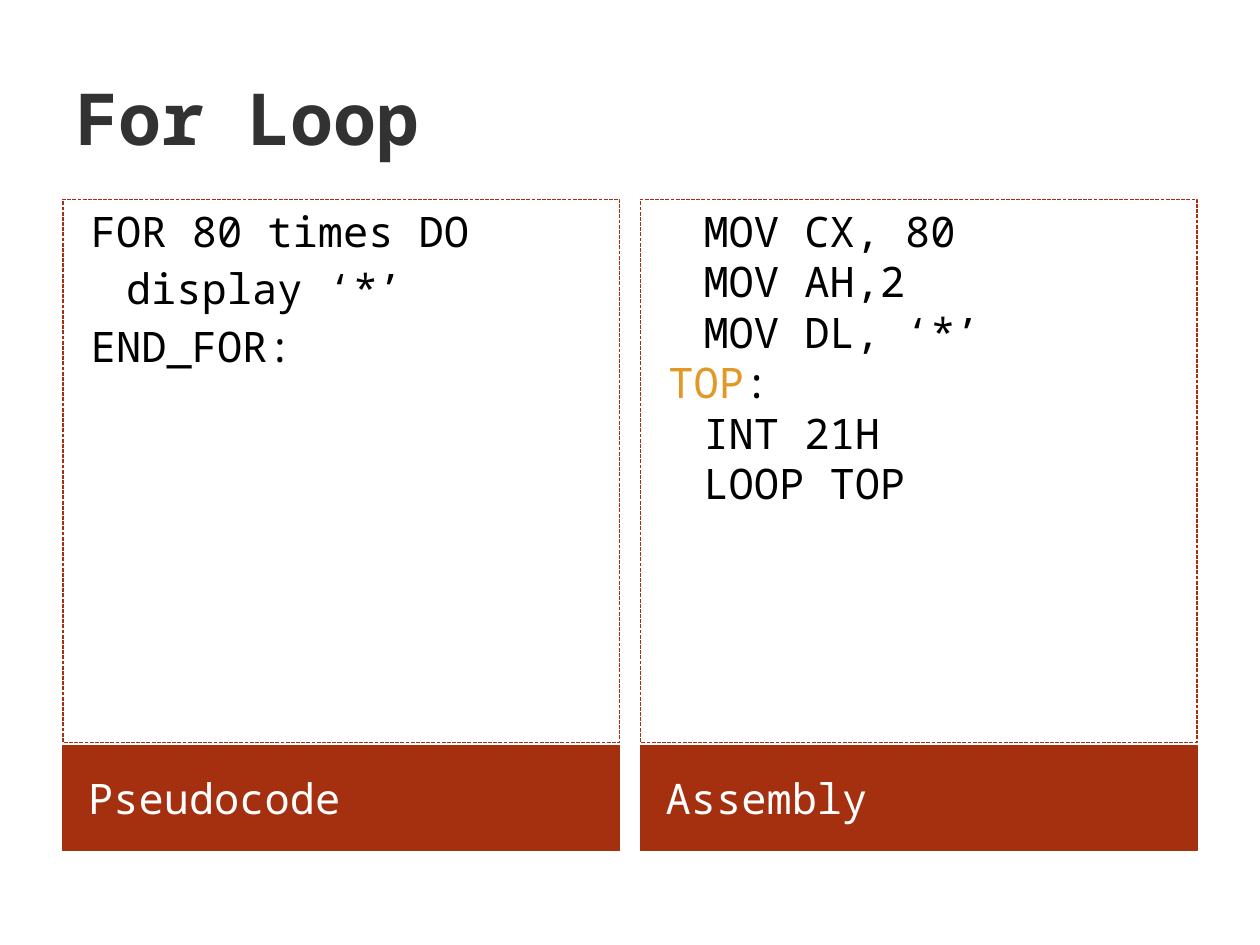
from lxml.etree import SubElement
from pptx import Presentation
from pptx.dml.color import RGBColor
from pptx.enum.dml import MSO_LINE
from pptx.enum.text import MSO_ANCHOR, MSO_AUTO_SIZE, PP_ALIGN
from pptx.oxml.ns import qn
from pptx.util import Pt

HUES = {"title": "323232", "rust": "A5300F", "code": "000000",
        "label": "FFFFFF", "mark": "E19825"}
FACE = "Noto Sans Mono"
LEFT, WIDE, STEP = 36, 318, 330
PSEUDO = ["FOR 80 times DO", "\tdisplay ‘*’", "END_FOR:"]
ASM = ["\tMOV CX, 80", "\tMOV AH,2", "\tMOV DL, ‘*’", "TOP:",
       "\tINT 21H", "\tLOOP TOP"]
PANES = [("Pseudocode", PSEUDO, 4), ("Assembly", ASM, 0)]


def hue(name):
    return RGBColor.from_string(HUES[name])


def place(shape, left, top, width, height, anchor):
    shape.left, shape.top = Pt(left), Pt(top)
    shape.width, shape.height = Pt(width), Pt(height)
    frame = shape.text_frame
    frame.auto_size = MSO_AUTO_SIZE.NONE
    frame.word_wrap = True
    frame.vertical_anchor = anchor
    return frame


def style(para, size, name, bold=False, gap=0):
    para.alignment = PP_ALIGN.LEFT
    para.line_spacing = 1.0
    para.space_before = Pt(gap)
    font = para.font
    font.name, font.size, font.bold = FACE, Pt(size), bold
    font.color.rgb = hue(name)


def hang(para, margin, indent):
    props = para._p.get_or_add_pPr()
    props.set("marL", str(Pt(margin)))
    props.set("indent", str(Pt(indent)))
    props.insert_element_before(props.makeelement(qn("a:buNone"), {}),
                                "a:tabLst", "a:defRPr", "a:extLst")


def edge(shape):
    shape.line.color.rgb = hue("rust")
    shape.line.width = Pt(0.75)


def add_title(shape, text):
    frame = place(shape, LEFT, 21.6, 648, 90, MSO_ANCHOR.MIDDLE)
    frame.text = text
    style(frame.paragraphs[0], 41, "title", bold=True)


def add_label(shape, left, text):
    frame = place(shape, left, 426.2, WIDE, 59.8, MSO_ANCHOR.MIDDLE)
    frame.margin_left = Pt(14.4)
    shape.fill.solid()
    shape.fill.fore_color.rgb = hue("rust")
    edge(shape)
    frame.text = text
    style(frame.paragraphs[0], 24, "label", gap=4)
    hang(frame.paragraphs[0], 0, 0)


def add_code(shape, left, lines, gap):
    frame = place(shape, left, 113.8, WIDE, 310.3, MSO_ANCHOR.TOP)
    edge(shape)
    shape.line.dash_style = MSO_LINE.SQUARE_DOT
    for num, line in enumerate(lines):
        para = frame.add_paragraph() if num else frame.paragraphs[0]
        style(para, 24, "code", gap=gap)
        hang(para, 28.8, -20)
        if line == "TOP:":
            mark = para.add_run()
            mark.text = line[:-1]
            mark.font.color.rgb = hue("mark")
            line = line[-1]
        para.add_run().text = line


def main():
    """Build the slide that sets a for loop beside its assembly code."""
    deck = Presentation()
    deck.slide_width, deck.slide_height = Pt(720), Pt(540)
    slide = deck.slides.add_slide(deck.slide_layouts[4])
    holds = {p.placeholder_format.idx: p for p in slide.placeholders}
    add_title(holds[0], "For Loop")
    for num, (name, lines, gap) in enumerate(PANES):
        left = LEFT + num * STEP
        add_label(holds[1 + 2 * num], left, name)
        add_code(holds[2 + 2 * num], left, lines, gap)
    deck.save("out.pptx")


if __name__ == "__main__":
    main()
